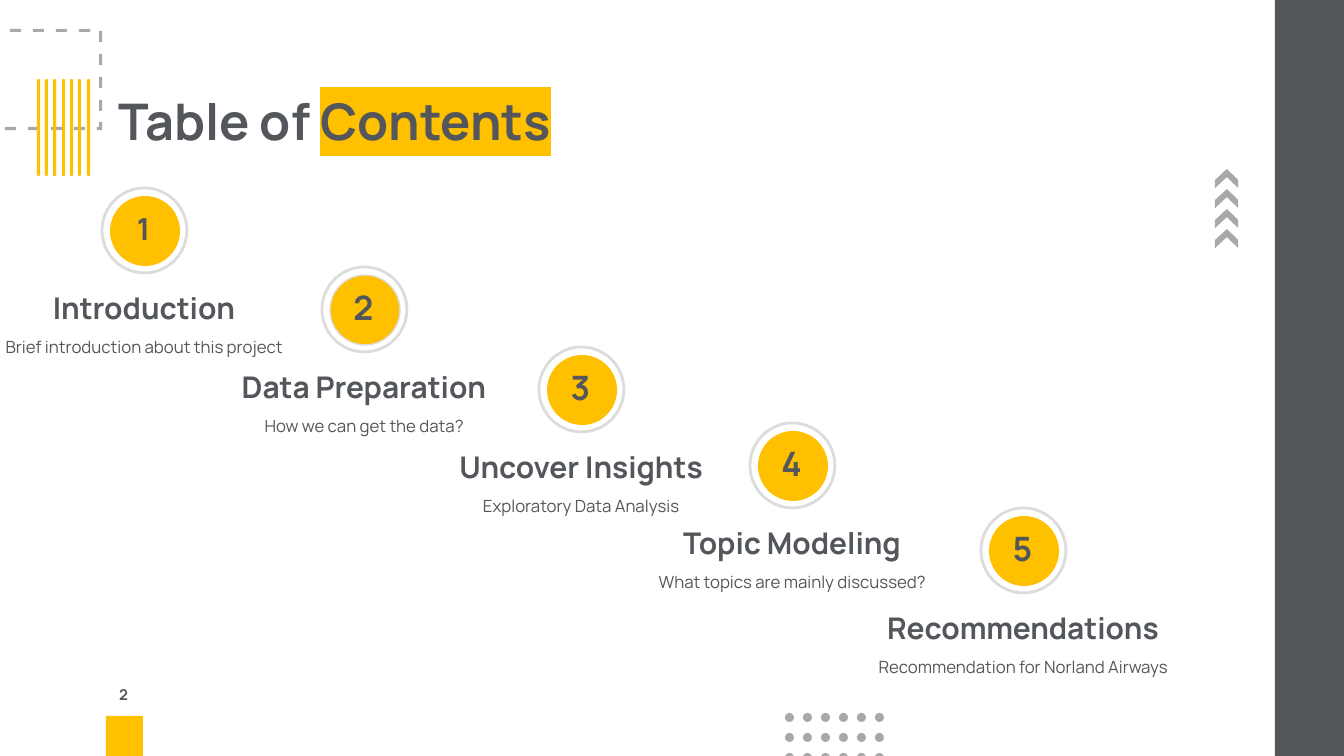
import lxml.etree
import pptx
import pptx.dml.color
import pptx.enum.shapes
import pptx.enum.text
import pptx.oxml.ns
import pptx.util

SCALE = 914400 / 134.4
FONT = "Manrope"
COLORS = {"yellow": "FFC000", "dark": "53565A", "gray": "A7A8AA", "ring": "DBDCDB"}
SHAPE = pptx.enum.shapes.MSO_SHAPE
ALIGN = pptx.enum.text.PP_ALIGN
ANCHOR = pptx.enum.text.MSO_ANCHOR

ITEMS = [
    (102, 188, "1", "Introduction", "Brief introduction about this project", 16.2, None),
    (322, 267, "2", "Data Preparation", "How we can get the data?", 18, "ring"),
    (539, 347, "3", "Uncover Insights", "Exploratory Data Analysis", 18, None),
    (750, 423, "4", "Topic Modeling", "What topics are mainly discussed?", 18, None),
    (981, 508, "5", "Recommendations", "Recommendation for Norland Airways", 18, None),
]


def px(n):
    """Turn px into EMU."""
    return pptx.util.Emu(round(n * SCALE))


def rgb(name):
    """Return a named colour."""
    return pptx.dml.color.RGBColor.from_string(COLORS[name])


def paint(sp, fill=None, line=None, weight=0.75):
    """Set the fill and line of a shape and drop its shadow."""
    sp.shadow.inherit = False
    if fill:
        sp.fill.solid()
        sp.fill.fore_color.rgb = rgb(fill)
    else:
        sp.fill.background()
    if line:
        sp.line.color.rgb = rgb(line)
        sp.line.width = pptx.util.Pt(weight)
    else:
        sp.line.fill.background()
    return sp


def add_shape(s, kind, x, y, w, h, **style):
    """Add a painted preset shape."""
    return paint(s.shapes.add_shape(kind, px(x), px(y), px(w), px(h)), **style)


def add_outline(s, x, y, contours, fill):
    """Add one filled freeform made of closed contours."""
    builder = None
    for points in contours:
        (x0, y0), *rest = [(x + dx, y + dy) for dx, dy in points]
        if builder is None:
            builder = s.shapes.build_freeform(x0, y0, SCALE)
        else:
            builder.move_to(x0, y0)
        builder.add_line_segments(rest, close=True)
    return paint(builder.convert_to_shape(), fill=fill)


def add_text(s, x, y, w, h, text, *, size, bold=False, align=ALIGN.LEFT, anchor=ANCHOR.TOP, marked=""):
    """Add a text box whose last run may be highlighted."""
    tf = s.shapes.add_textbox(px(x), px(y), px(w), px(h)).text_frame
    tf.word_wrap = True
    tf.vertical_anchor = anchor
    tf.margin_left = tf.margin_right = tf.margin_top = tf.margin_bottom = pptx.util.Inches(0.1)
    p = tf.paragraphs[0]
    p.alignment = align
    for part in filter(None, (text, marked)):
        r = p.add_run()
        r.text = part
        r.font.size = pptx.util.Pt(size)
        r.font.bold = bold
        r.font.name = FONT
        r.font.color.rgb = rgb("dark")
    if marked:
        qn = pptx.oxml.ns.qn
        highlight = lxml.etree.Element(qn("a:highlight"))
        lxml.etree.SubElement(highlight, qn("a:srgbClr"), val=COLORS["yellow"])
        r.font.fill  
        r.font._element.find(qn("a:solidFill")).addnext(highlight)


def rect(x, y, w, h):
    """Return the corners of a rectangle."""
    return [(x, y), (x + w, y), (x + w, y + h), (x, y + h)]


def add_dashed_frame(s, x, y):
    """Draw the dashed frame that runs in from the left edge."""
    step, dash, thick = 23, 11, 3
    contours = [rect(127 - i * step, 0, dash, thick) for i in range(6)]
    contours.append(rect(0, 0, 1, thick))
    contours += [rect(147, 2 + i * step, thick, dash) for i in range(4)]
    contours.append([(150, 101), (150, 93), (147, 93), (147, 98), (145, 98), (145, 101)])
    contours += [rect(122 - i * step, 98, dash, thick) for i in range(6)]
    add_outline(s, x, y, contours, "gray")


def add_bars(s, x, y, w, h, count=7):
    """Spread thin round-ended bars over the box."""
    thick = 3
    for i in range(count):
        left = x + i * (w - thick) // (count - 1)
        sp = add_shape(s, SHAPE.ROUNDED_RECTANGLE, left, y, thick, h, fill="yellow")
        sp.adjustments[0] = 0.5


def add_dots(s, x, y, step_x=18, step_y=20, cols=6, rows=3):
    """Draw the grid of dots."""
    for row in range(rows):
        for col in range(cols):
            add_shape(s, SHAPE.OVAL, x + col * step_x, y + row * step_y, 9, 9, fill="gray")


def add_chevrons(s, x, y, step=20, count=4):
    """Stack chevrons that point up."""
    points = [(23, 11), (12, 0), (0, 11), (0, 19), (12, 8), (23, 19)]
    for i in range(count):
        add_outline(s, x, y + i * step, [points], "gray")


def add_page_mark(s, x, y, w, number):
    """Draw the page number above its yellow tab."""
    add_shape(s, SHAPE.RECTANGLE, x, y + 39, w, 40, fill="yellow")
    add_text(s, x, y, w, 32, number, size=8, bold=True)


def add_item(s, x, y, number, title, detail, size, edge):
    """Draw a numbered disc with its title and detail below."""
    add_shape(s, SHAPE.OVAL, x, y, 85, 85, line="ring", weight=1.5)
    add_shape(s, SHAPE.OVAL, x + 8, y + 8, 70, 70, fill="yellow", line=edge)
    add_text(s, x - 4, y + 7, 91, 66, number, size=size, bold=True,
             align=ALIGN.CENTER, anchor=ANCHOR.MIDDLE)
    add_text(s, x - 143, y + 85, 370, 66, title, size=16, bold=True,
             align=ALIGN.CENTER, anchor=ANCHOR.BOTTOM)
    add_text(s, x - 143, y + 139, 370, 82, detail, size=9, align=ALIGN.CENTER)


def add_contents_slide(prs):
    """Build the table of contents."""
    s = prs.slides.add_slide(prs.slide_layouts[6])
    add_dashed_frame(s, -48, 29)
    add_bars(s, 37, 79, 53, 97)
    add_dots(s, 785, 713)
    add_chevrons(s, 1215, 169)
    add_shape(s, SHAPE.RECTANGLE, 1275, 0, 69, 756, fill="dark")
    add_page_mark(s, 106, 677, 37, "2")
    add_text(s, 105, 79, 1134, 85, "Table of ", marked="Contents", size=27, bold=True,
             anchor=ANCHOR.BOTTOM)
    for item in ITEMS:
        add_item(s, *item)


def main():
    """Create the deck and save it."""
    prs = pptx.Presentation()
    prs.slide_width, prs.slide_height = px(1344), px(756)
    add_contents_slide(prs)
    prs.save("out.pptx")


if __name__ == "__main__":
    main()
